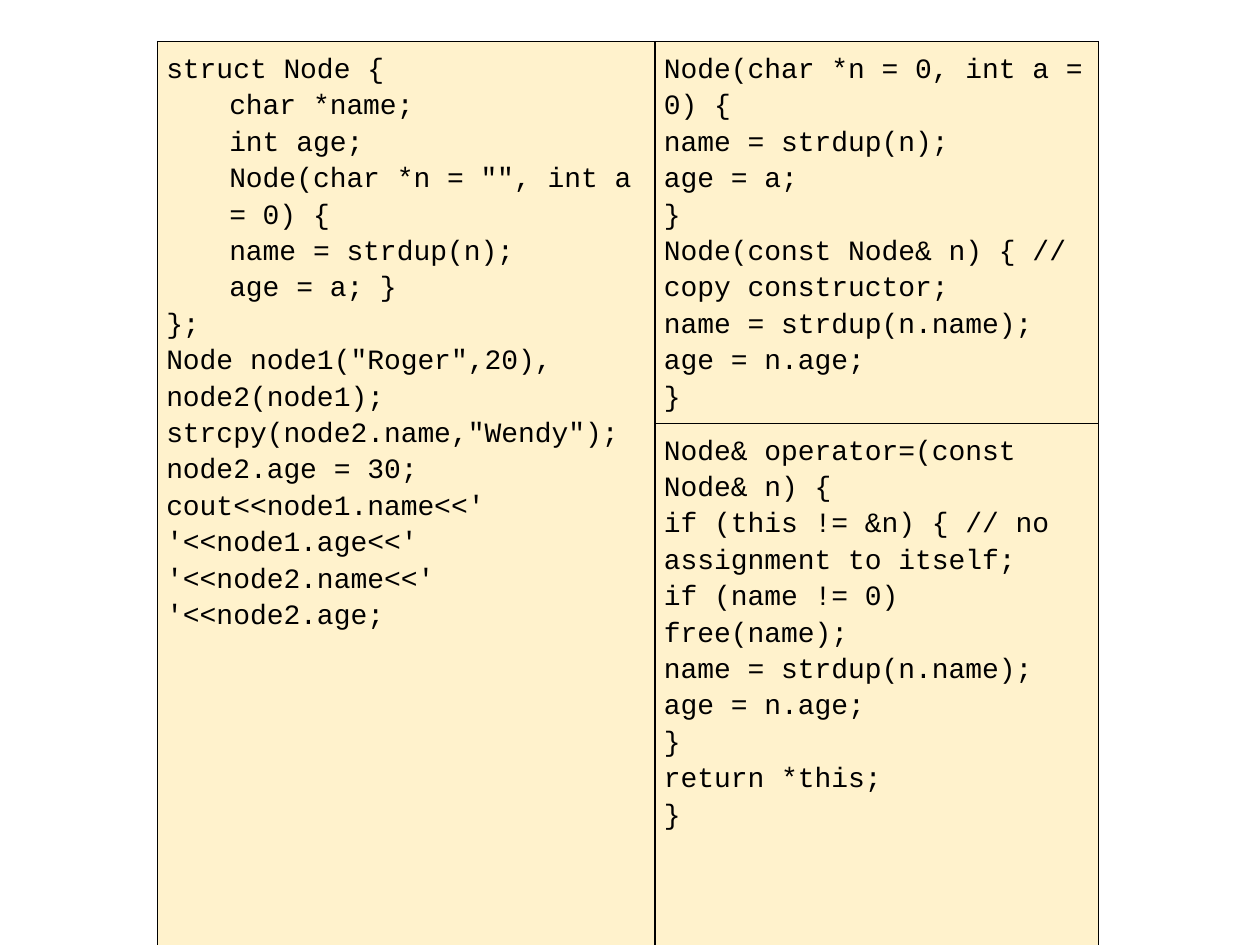
import pptx
import pptx.util
import pptx.dml.color
from lxml import etree

Inches, Pt = pptx.util.Inches, pptx.util.Pt
RGB = pptx.dml.color.RGBColor.from_string

# Content: (indent level, line of code) for each cell
NODE_STRUCT = [
    (0, 'struct Node {'),
    (1, 'char *name;'),
    (1, 'int age;'),
    (1, 'Node(char *n = "", int a = 0) {'),
    (1, 'name = strdup(n);'),
    (1, 'age = a; }'),
    (0, '};'),
    (0, 'Node node1("Roger",20), node2(node1);'),
    (0, 'strcpy(node2.name,"Wendy");'),
    (0, 'node2.age = 30;'),
    (0, "cout<<node1.name<<' '<<node1.age<<' '<<node2.name<<' '<<node2.age;"),
]
CONSTRUCTORS = [
    (0, 'Node(char *n = 0, int a = 0) {'),
    (0, 'name = strdup(n);'),
    (0, 'age = a;'),
    (0, '}'),
    (0, 'Node(const Node& n) { // copy constructor;'),
    (0, 'name = strdup(n.name);'),
    (0, 'age = n.age;'),
    (0, '}'),
]
ASSIGNMENT = [
    (0, 'Node& operator=(const Node& n) {'),
    (0, 'if (this != &n) { // no assignment to itself;'),
    (0, 'if (name != 0)'),
    (0, 'free(name);'),
    (0, 'name = strdup(n.name);'),
    (0, 'age = n.age;'),
    (0, '}'),
    (0, 'return *this;'),
    (0, '}'),
]
CELLS = {(0, 0): NODE_STRUCT, (0, 1): CONSTRUCTORS, (1, 1): ASSIGNMENT}

THEME = {
    'fill': 'FFF2CC', 'ink': '000000', 'border': Pt(1),
    'font': {'name': 'Courier New', 'size': Pt(16), 'bold': False},
    'margins': {'margin_' + side: Inches(0.07)
                for side in ('left', 'right', 'top', 'bottom')},
    'line_spacing': 1.15, 'indent': Inches(0.5),
}
COLS, ROW_H = (3.95, 3.52), 0.29
LEFT, TOP, HEIGHT = 1.25, 0.33, 6.7
NS = 'http://schemas.openxmlformats.org/drawingml/2006/main'


def apply(obj, values):
    for name, value in values.items():
        setattr(obj, name, value)


def style_cell(cell):
    tcPr = cell._tc.get_or_add_tcPr()
    for side in 'LRTB':
        ln = etree.SubElement(tcPr, f'{{{NS}}}ln{side}', w=str(THEME['border']))
        solid = etree.SubElement(ln, f'{{{NS}}}solidFill')
        etree.SubElement(solid, f'{{{NS}}}srgbClr', val=THEME['ink'])
    cell.fill.solid()
    cell.fill.fore_color.rgb = RGB(THEME['fill'])
    apply(cell, THEME['margins'])


def write_code(cell, lines):
    tf = cell.text_frame
    for i, (level, text) in enumerate(lines):
        p = tf.add_paragraph() if i else tf.paragraphs[0]
        p.line_spacing = THEME['line_spacing']
        if level:
            pPr = p._p.get_or_add_pPr()
            pPr.set('marL', str(level * THEME['indent']))
            pPr.set('indent', '0')
        r = p.add_run()
        r.text = text
        apply(r.font, THEME['font'])
        r.font.color.rgb = RGB(THEME['ink'])


# Slide
prs = pptx.Presentation()
prs.slide_width, prs.slide_height = Inches(10), Inches(7.5)
s = prs.slides.add_slide(prs.slide_layouts[6])

# Code table, left cell spanning both rows
frame = s.shapes.add_table(2, len(COLS), Inches(LEFT), Inches(TOP),
                           Inches(sum(COLS)), Inches(HEIGHT))
table = frame.table
apply(table, {'first_row': False, 'horz_banding': False})
for col, width in zip(table.columns, COLS):
    col.width = Inches(width)
for row in table.rows:
    row.height = Inches(ROW_H)
frame.height = Inches(HEIGHT)
for cell in table.iter_cells():
    style_cell(cell)
table.cell(0, 0).merge(table.cell(1, 0))
for (row, col), lines in CELLS.items():
    write_code(table.cell(row, col), lines)

prs.save("out.pptx")
